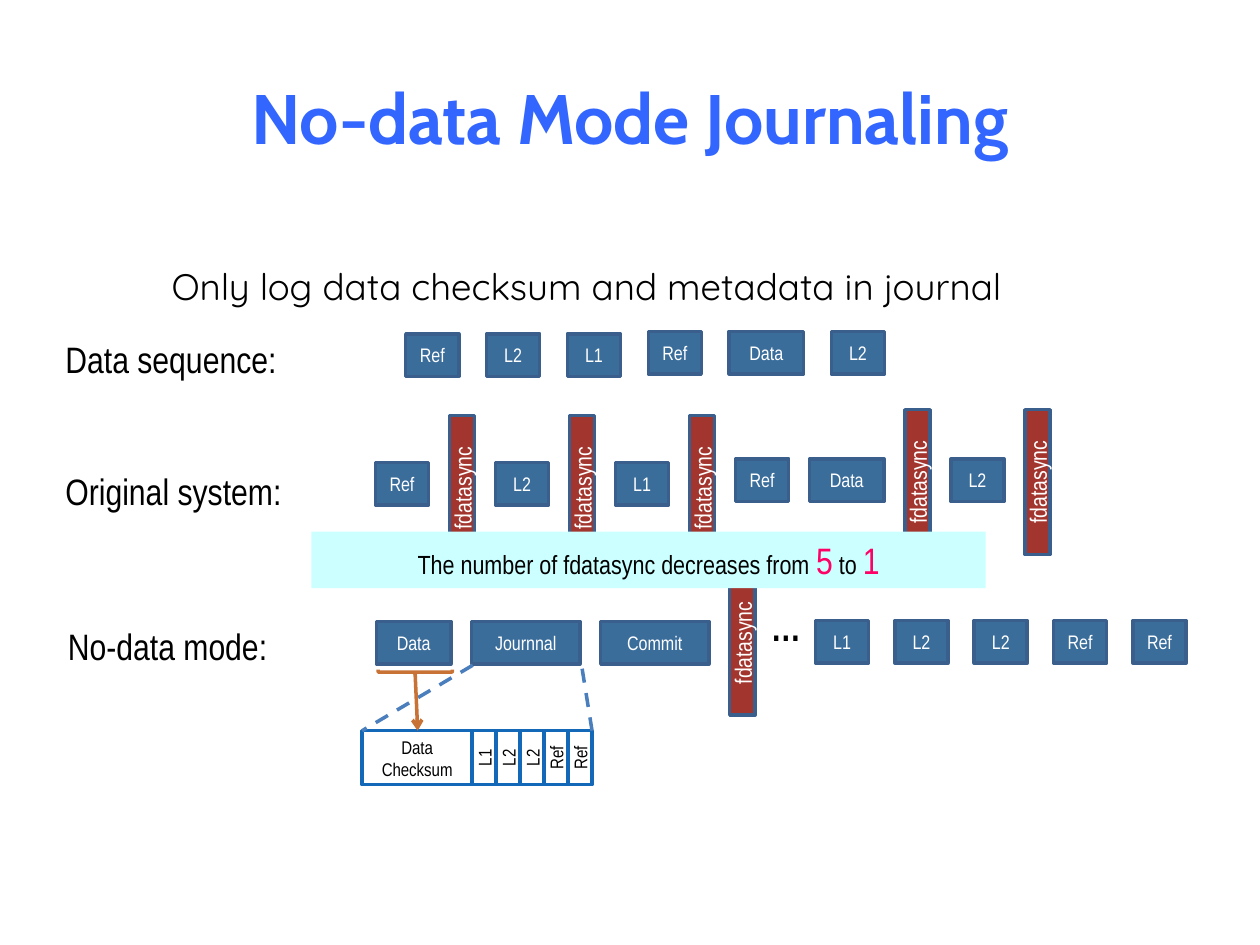
from lxml import etree
from pptx import Presentation
from pptx import util as u
from pptx.dml import color
from pptx.enum import dml, shapes, text
from pptx.oxml import ns

NARROW = "Arial Narrow"
BLACK, WHITE = "000000", "FFFFFF"
BLOCK_HEIGHT = 0.86
SYNC_HEIGHT = 2.92
WIDTHS = {"Data": 1.5, "Journnal": 2.18, "Commit": 2.18, "fdatasync": 0.51}


def rgb(value):
    return color.RGBColor.from_string(value)


def style(span, size, tone, face=NARROW, bold=False):
    span.font.size = u.Pt(size)
    span.font.name = face
    span.font.bold = bold
    span.font.color.rgb = rgb(tone)


def fill_text(box, words, size, tone, face=NARROW, bold=False, center=True, middle=True, inset=(0, 0), upright=False):
    frame = box.text_frame
    frame.text = words
    frame.word_wrap = True
    frame.margin_left = frame.margin_right = u.Cm(inset[0])
    frame.margin_top = frame.margin_bottom = u.Cm(inset[1])
    frame.vertical_anchor = text.MSO_ANCHOR.MIDDLE if middle else text.MSO_ANCHOR.TOP
    if upright:
        frame._txBody.bodyPr.set("vert", "vert270")
    for para in frame.paragraphs:
        para.alignment = text.PP_ALIGN.CENTER if center else text.PP_ALIGN.LEFT
        for span in para.runs:
            style(span, size, tone, face, bold)


def add_text(page, left, top, width, height, words, size, tone=BLACK, **options):
    box = page.shapes.add_textbox(u.Cm(left), u.Cm(top), u.Cm(width), u.Cm(height))
    fill_text(box, words, size, tone, **options)


def add_shape(page, kind, left, top, width, height, fill=None, line=None):
    box = page.shapes.add_shape(kind, u.Cm(left), u.Cm(top), u.Cm(width), u.Cm(height))
    box.shadow.inherit = False
    if fill:
        box.fill.solid()
        box.fill.fore_color.rgb = rgb(fill)
    else:
        box.fill.background()
    if line:
        box.line.color.rgb = rgb(line)
        box.line.width = u.Pt(2)
    else:
        box.line.fill.background()
    return box


def add_line(page, start, end, tone, dashed=False, arrow=False):
    points = [u.Cm(value) for value in (*start, *end)]
    line = page.shapes.add_connector(shapes.MSO_CONNECTOR.STRAIGHT, *points)
    line.line.color.rgb = rgb(tone)
    line.line.width = u.Pt(2)
    if dashed:
        line.line.dash_style = dml.MSO_LINE.DASH
    if arrow:
        etree.SubElement(line.line._get_or_add_ln(), ns.qn("a:tailEnd"), type="arrow")
    etree.SubElement(line._element.spPr, ns.qn("a:effectLst"))


def add_row(page, left, middle, gap, names, sync_drop=0):
    for name in names.split():
        sync = name == "fdatasync"
        width = WIDTHS.get(name, 1.07)
        height = SYNC_HEIGHT if sync else BLOCK_HEIGHT
        top = middle - height / 2 + (sync_drop if sync else 0)
        box = add_shape(page, shapes.MSO_SHAPE.RECTANGLE, left, top, width, height,
                        "A2362E" if sync else "3B6D9B", "3A5F8C")
        fill_text(box, name, 13.5 if sync else 11.2, WHITE, upright=sync)
        left += width + gap
    return left


def add_journal(page, left, top):
    height, checksum, cell = 1.09, 2.22, 0.483
    box = add_shape(page, shapes.MSO_SHAPE.RECTANGLE, left, top, checksum, height, line="1368B7")
    fill_text(box, "Data\nChecksum", 10.5, BLACK)
    for index, name in enumerate(["L1", "L2", "L2", "Ref", "Ref"]):
        box = add_shape(page, shapes.MSO_SHAPE.RECTANGLE, left + checksum + index * cell, top,
                        cell, height, line="1368B7")
        fill_text(box, name, 10.5, BLACK, upright=True)
    right = left + checksum + 5 * cell
    add_line(page, (left + 2.23, top - 1.32), (left, top), "4B7EBC", dashed=True)
    add_line(page, (right - 0.2, top - 1.25), (right, top), "4B7EBC", dashed=True)
    brace = add_shape(page, shapes.MSO_SHAPE.RIGHT_BRACE, left + 1.02, top - 1.93, 0.1, 1.5, line="C87335")
    brace.rotation = 90
    add_line(page, (left + 1.07, top - 1.14), (left + 1.12, top), "C87335", arrow=True)


def add_banner(page, left, top, width, height):
    box = add_shape(page, shapes.MSO_SHAPE.RECTANGLE, left, top, width, height, "CCFFFF")
    fill_text(box, "", 15, BLACK, middle=False, inset=(0.25, 0.13))
    para = box.text_frame.paragraphs[0]
    for words, size, tone in [("The number of fdatasync decreases from ", 15, BLACK), ("5", 21, "FF0066"),
                              (" to ", 15, BLACK), ("1", 21, "FF0066")]:
        span = para.add_run()
        span.text = words
        style(span, size, tone)


def build_page(page):
    label = {"center": False, "middle": False, "inset": (0.18, 0.1)}
    add_text(page, 1.27, 0.76, 22.86, 3.18, "No-data Mode Journaling", 40, "3366FF", face="Cabin", bold=True)
    add_text(page, 3.28, 5.21, 18.57, 1.75, "Only log data checksum and metadata in journal", 21,
             face="Quicksand", **label)
    for left, top, words in [(1.14, 6.68, "Data sequence:"), (1.14, 9.35, "Original system:"),
                             (1.19, 12.47, "No-data mode:")]:
        add_text(page, left, top, 6.6, 1.02, words, 21, **label)
    left = add_row(page, 8.18, 7.16, 0.56, "Ref L2 L1")
    add_row(page, left, 7.11, 0.56, "Ref Data L2")
    left = add_row(page, 7.57, 9.75, 0.42, "Ref fdatasync L2 fdatasync L1 fdatasync", 0.09)
    add_row(page, left, 9.68, 0.42, "Ref Data fdatasync L2 fdatasync", 0.04)
    add_row(page, 7.59, 12.96, 0.42, "Data Journnal Commit fdatasync")
    add_text(page, 15.29, 12.07, 0.99, 1.14, "…", 21, bold=True, center=False, middle=False, inset=(0.25, 0.13))
    add_row(page, 16.44, 12.94, 0.53, "L1 L2 L2 Ref Ref")
    add_journal(page, 7.3, 14.73)
    add_banner(page, 6.28, 10.72, 13.59, 1.14)


deck = Presentation()
deck.slide_width, deck.slide_height = u.Cm(25.4), u.Cm(19.05)
build_page(deck.slides.add_slide(deck.slide_layouts[6]))
deck.save("out.pptx")
